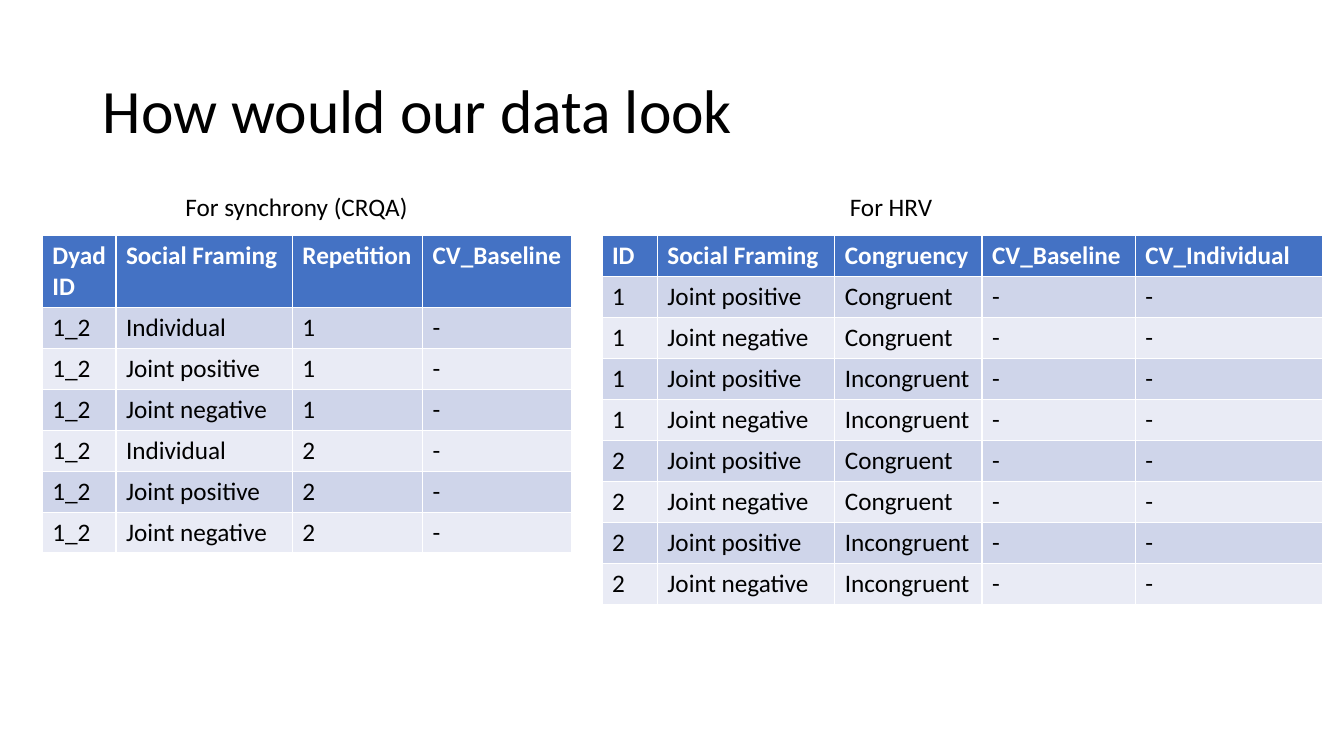
from itertools import product

from pptx import Presentation
from pptx.dml.color import RGBColor
from pptx.enum.text import MSO_ANCHOR, PP_ALIGN
from pptx.util import Inches, Pt

BLACK = RGBColor(0x00, 0x00, 0x00)
WHITE = RGBColor(0xFF, 0xFF, 0xFF)
HEADER_BLUE = RGBColor(0x44, 0x72, 0xC4)
BANDS = (RGBColor(0xCF, 0xD5, 0xEA), RGBColor(0xE9, 0xEB, 0xF5))

TITLE_FONT = {"name": "Calibri", "size": Pt(44), "bold": False}
BODY_FONT = {"name": "Calibri", "size": Pt(18), "bold": False}
HEADER_FONT = {**BODY_FONT, "bold": True}

TABLE_TOP = 2.34
ROW_HEIGHT = 0.406
CAPTION_TOP = 1.85
CAPTION_HEIGHT = 0.4


def write(text_frame, text, font_format, color):
    """Put one formatted run in a text frame and return its paragraph."""
    paragraph = text_frame.paragraphs[0]
    run = paragraph.add_run()
    run.text = text
    for attribute, value in font_format.items():
        setattr(run.font, attribute, value)
    run.font.color.rgb = color
    return paragraph


def set_title(slide, text):
    title = slide.shapes.title
    place = {"left": 0.92, "top": 0.4, "width": 11.5, "height": 1.45}
    for attribute, value in place.items():
        setattr(title, attribute, Inches(value))
    title.text_frame.vertical_anchor = MSO_ANCHOR.MIDDLE
    heading = write(title.text_frame, text, TITLE_FONT, BLACK)
    heading.alignment = PP_ALIGN.LEFT
    heading.line_spacing = 0.9


def add_caption(slide, text, left, width):
    caption = slide.shapes.add_textbox(
        Inches(left), Inches(CAPTION_TOP), Inches(width), Inches(CAPTION_HEIGHT))
    caption.text_frame.word_wrap = False
    write(caption.text_frame, text, BODY_FONT, BLACK)


def add_data_table(slide, left, column_widths, header, records):
    rows = [header, *records]
    table = slide.shapes.add_table(
        len(rows), len(header), Inches(left), Inches(TABLE_TOP),
        Inches(sum(column_widths)), Inches(ROW_HEIGHT * len(rows))).table
    for column, width in zip(table.columns, column_widths):
        column.width = Inches(width)

    for row_number, values in enumerate(rows):
        if row_number == 0:
            fill, font_format, color = HEADER_BLUE, HEADER_FONT, WHITE
        else:
            fill, font_format, color = BANDS[(row_number - 1) % 2], BODY_FONT, BLACK
        for column_number, value in enumerate(values):
            cell = table.cell(row_number, column_number)
            cell.fill.solid()
            cell.fill.fore_color.rgb = fill
            write(cell.text_frame, value, font_format, color)


def main():
    prs = Presentation()
    prs.slide_width, prs.slide_height = Inches(13.33), Inches(7.5)
    slide = prs.slides.add_slide(prs.slide_layouts[5])
    set_title(slide, "How would our data look")

    # Synchrony: one record per repetition and framing
    joint_framings = ("Joint positive", "Joint negative")
    synchrony_records = [
        ("1_2", framing, repetition, "-")
        for repetition, framing in product("12", ("Individual", *joint_framings))]
    add_data_table(
        slide, 0.42, (0.73, 1.75, 1.29, 1.48),
        ("Dyad ID", "Social Framing", "Repetition", "CV_Baseline"),
        synchrony_records)

    # HRV: one record per person, congruency and framing
    hrv_records = [
        (person, framing, congruency, "-", "-")
        for person, congruency, framing in product(
            "12", ("Congruent", "Incongruent"), joint_framings)]
    add_data_table(
        slide, 5.97, (0.55, 1.76, 1.46, 1.52, 1.86),
        ("ID", "Social Framing", "Congruency", "CV_Baseline", "CV_Individual"),
        hrv_records)

    # Table captions
    add_caption(slide, "For synchrony (CRQA)", 1.74, 2.43)
    add_caption(slide, "For HRV", 8.33, 1.03)

    prs.save("out.pptx")


if __name__ == "__main__":
    main()
